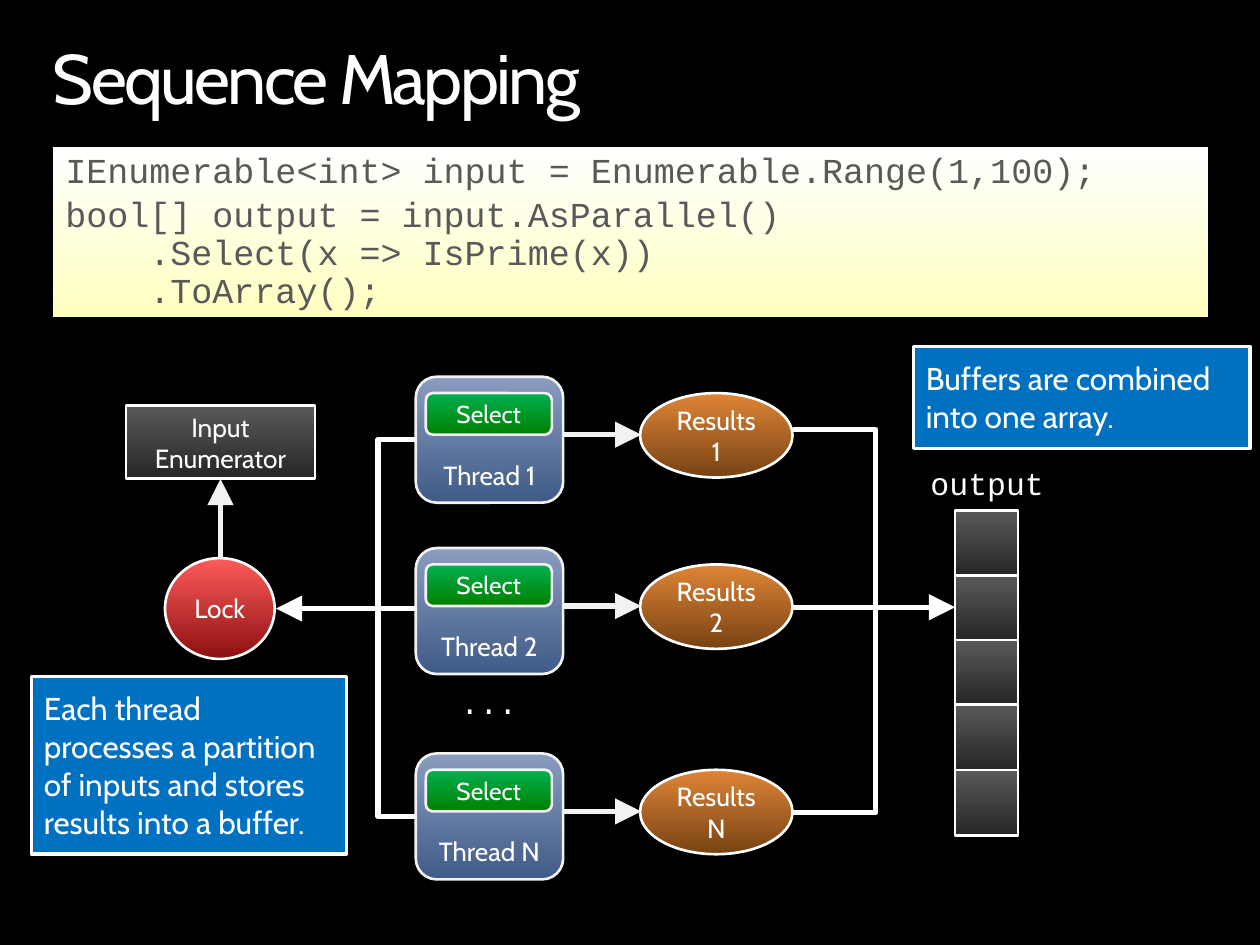
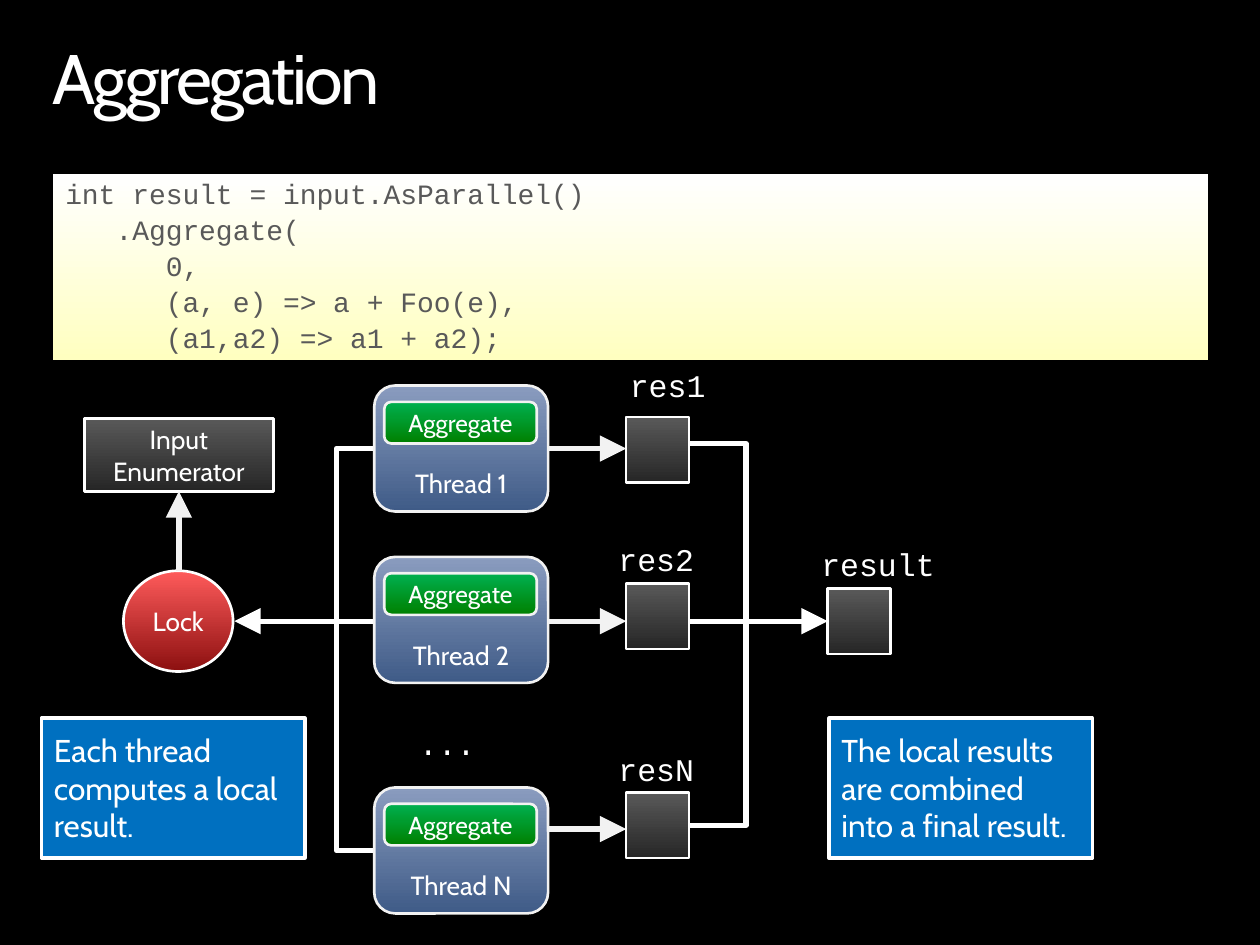
from pptx import Presentation
from pptx.dml.color import RGBColor as RGB
from pptx.enum.shapes import MSO_CONNECTOR as CONN, MSO_SHAPE as SHAPE
from pptx.enum.text import MSO_ANCHOR as ANCHOR, MSO_AUTO_SIZE as AUTO, PP_ALIGN as ALIGN
from pptx.oxml.ns import qn
from pptx.util import Pt
from lxml.etree import SubElement

COLORS = dict(black="000000", white="FFFFFF", pale="F2F2F2", note="0070C0", code="595959")
GRADIENTS = dict(
    thread=("3F5B87", "8A9CBF"),
    stage=("008000", "00B050"),
    result=("774213", "DF8536"),
    lock=("8C1010", "FF5B5B"),
    cell=("262626", "595959"),
    code=("FFFFC0", "FFFFFF"),
)
SANS, MONO = "Cabin", "Courier New"
CELL_W, CELL_H = 50, 52
ARROW_W = 62


class Deck:
    """Holds the deck style and the current slide, and draws each kind of element."""

    scale = 9144

    def __init__(self, width, height):
        self.prs = Presentation()
        self.prs.slide_width, self.prs.slide_height = self.px(width, height)
        fill = self.prs.slide_master.background.fill
        fill.solid()
        fill.fore_color.rgb = RGB.from_string(COLORS["black"])

    def px(self, *lengths):
        return [n * self.scale for n in lengths]

    def slide(self, title):
        self.s = self.prs.slides.add_slide(self.prs.slide_layouts[5])
        sp = self.s.shapes.title
        sp.left, sp.top, sp.width, sp.height = self.px(42, 35, 917, 61)
        self.text(sp, [title], 40, align=ALIGN.LEFT, anchor=ANCHOR.TOP,
                  inset=(0, 0), para=dict(line_spacing=0.9))
        for r in sp.text_frame.paragraphs[0].runs:
            r.font._element.set("spc", "-150")

    def text(self, sp, lines, size, font=SANS, color="white", align=ALIGN.CENTER,
             anchor=ANCHOR.MIDDLE, inset=(10, 5), wrap=True, para=None):
        tf = sp.text_frame
        x, y = self.px(*inset)
        frame = dict(word_wrap=wrap, auto_size=AUTO.NONE, vertical_anchor=anchor,
                     margin_left=x, margin_right=x, margin_top=y, margin_bottom=y)
        for key, value in frame.items():
            setattr(tf, key, value)
        for i, line in enumerate(lines):
            p = tf.add_paragraph() if i else tf.paragraphs[0]
            p.text = line
            for key, value in dict(alignment=align, **(para or {})).items():
                setattr(p, key, value)
            for r in p.runs:
                for key, value in dict(name=font, size=Pt(size)).items():
                    setattr(r.font, key, value)
                r.font.color.rgb = RGB.from_string(COLORS[color])

    def shape(self, kind, box, fill, line=None, weight=1.5):
        sp = self.s.shapes.add_shape(kind, *self.px(*box))
        sp.shadow.inherit = False
        if fill in GRADIENTS:
            sp.fill.gradient()
            sp.fill.gradient_angle = 90
            for stop, color in zip(sp.fill.gradient_stops, GRADIENTS[fill]):
                stop.color.rgb = RGB.from_string(color)
        else:
            sp.fill.solid()
            sp.fill.fore_color.rgb = RGB.from_string(COLORS[fill])
        if line:
            sp.line.color.rgb = RGB.from_string(COLORS[line])
            sp.line.width = Pt(weight)
        else:
            sp.line.fill.background()
        return sp

    def node(self, kind, box, label, fill, line="white", size=15, **fmt):
        self.text(self.shape(kind, box, fill, line), [label], size, **fmt)

    def cell(self, x, y):
        self.shape(SHAPE.RECTANGLE, (x, y, CELL_W, CELL_H), "cell", "white")

    def label(self, box, text, **fmt):
        sp = self.s.shapes.add_textbox(*self.px(*box))
        self.text(sp, [text], 18, MONO, anchor=ANCHOR.TOP, wrap=False, **fmt)

    def note(self, box, text):
        sp = self.shape(SHAPE.RECTANGLE, box, "note", "white", 2)
        self.text(sp, [text], 18, align=ALIGN.LEFT, anchor=ANCHOR.TOP, inset=(10, 10))

    def code(self, top, height, lines, size):
        sp = self.shape(SHAPE.RECTANGLE, (42, top, 917, height), "code")
        self.text(sp, lines, size, MONO, "code", ALIGN.LEFT, ANCHOR.TOP,
                  para=dict(line_spacing=0.9, space_after=Pt(3.3)))

    def connect(self, start, end, color="white", arrow=False, kind=CONN.STRAIGHT):
        c = self.s.shapes.add_connector(kind, *self.px(*start, *end))
        c.line.color.rgb = RGB.from_string(COLORS[color])
        c.line.width = Pt(3)
        sp_pr = c._element.spPr
        if arrow:
            SubElement(sp_pr.find(qn("a:ln")), qn("a:tailEnd"), type="triangle", w="lg", len="lg")
        SubElement(sp_pr, qn("a:effectLst"))
        return c

    def elbow(self, start, end):
        c = self.connect(start, end, kind=CONN.ELBOW)
        geom = c._element.spPr.find(qn("a:prstGeom"))
        av = geom.find(qn("a:avLst"))
        av = SubElement(geom, qn("a:avLst")) if av is None else av
        SubElement(av, qn("a:gd"), name="adj1", fmla="val 100000")

    def bus(self, x, mid, near, ends, target):
        for y in ends:
            self.elbow((near, y), (x, mid))
        self.connect((near, mid), (target, mid), arrow=True)

    def source(self, x, y):
        self.node(SHAPE.RECTANGLE, (x, y, 150, 58), "Input Enumerator", "cell")
        self.node(SHAPE.OVAL, (x + 31, y + 121, 87, 80), "Lock", "lock")
        self.connect((x + 75, y + 121), (x + 75, y + 58), "pale", True)

    def threads(self, x, width, tops, stage, arrow_ys):
        for name, top, y in zip("12N", tops, arrow_ys):
            self.node(SHAPE.ROUNDED_RECTANGLE, (x, top, width, 100), f"Thread {name}",
                      "thread", "pale", anchor=ANCHOR.BOTTOM)
            self.node(SHAPE.ROUNDED_RECTANGLE, (x + 8, top + 13, width - 17, 33), stage,
                      "stage", "pale", 14)
            self.connect((x + width, y), (x + width + ARROW_W, y), "pale", True)


def sequence_mapping(deck):
    deck.slide("Sequence Mapping")
    deck.code(117, 135, [
        "IEnumerable<int> input = Enumerable.Range(1,100);",
        "bool[] output = input.AsParallel()\v    .Select(x => IsPrime(x))\v    .ToArray();",
    ], 20)
    deck.bus(300, 483, 330, (349, 648), 219)
    deck.bus(695, 482, 629, (341, 645), 758)
    deck.source(100, 322)
    tops = 299, 435, 598
    deck.threads(330, 117, tops, "Select", [top + 46 for top in tops])
    for name, top in zip("12N", tops):
        deck.node(SHAPE.OVAL, (508, top + 13, 121, 67), f"Results {name}", "result")
    deck.label((338, 537, 100, 40), "...")
    deck.label((725, 363, 117, 40), "output")
    for i in range(5):
        deck.cell(758, 405 + round(i * 51.5))
    deck.note((25, 537, 250, 141),
              "Each thread processes a partition of inputs and stores results into a buffer.")
    deck.note((725, 275, 267, 81), "Buffers are combined into one array.")


def aggregation(deck):
    deck.slide("Aggregation")
    deck.code(138, 148, [
        "int result = input.AsParallel()",
        "   .Aggregate(",
        "      0,",
        "      (a, e) => a + Foo(e),",
        "      (a1,a2) => a1 + a2);",
    ], 16)
    deck.bus(267, 493, 297, (356, 675), 186)
    deck.bus(592, 493, 547, (352, 655), 657)
    deck.source(67, 332)
    deck.threads(297, 138, (306, 442, 625), "Aggregate", (356, 493, 658))
    results = ("res1", 490, 286, 331), ("res2", 481, 424, 463), ("resN", 481, 590, 629)
    for name, x, top, cell_top in results:
        deck.label((x, top, 89, 40), name, align=ALIGN.LEFT)
        deck.cell(497, cell_top)
    deck.label((305, 570, 100, 40), "...")
    deck.label((642, 428, 117, 40), "result", align=ALIGN.LEFT)
    deck.cell(657, 467)
    deck.note((33, 570, 209, 111), "Each thread computes a local result.")
    deck.note((658, 570, 209, 111), "The local results are combined into a final result.")


def main():
    deck = Deck(1000, 750)
    sequence_mapping(deck)
    aggregation(deck)
    deck.prs.save("out.pptx")


if __name__ == "__main__":
    main()
